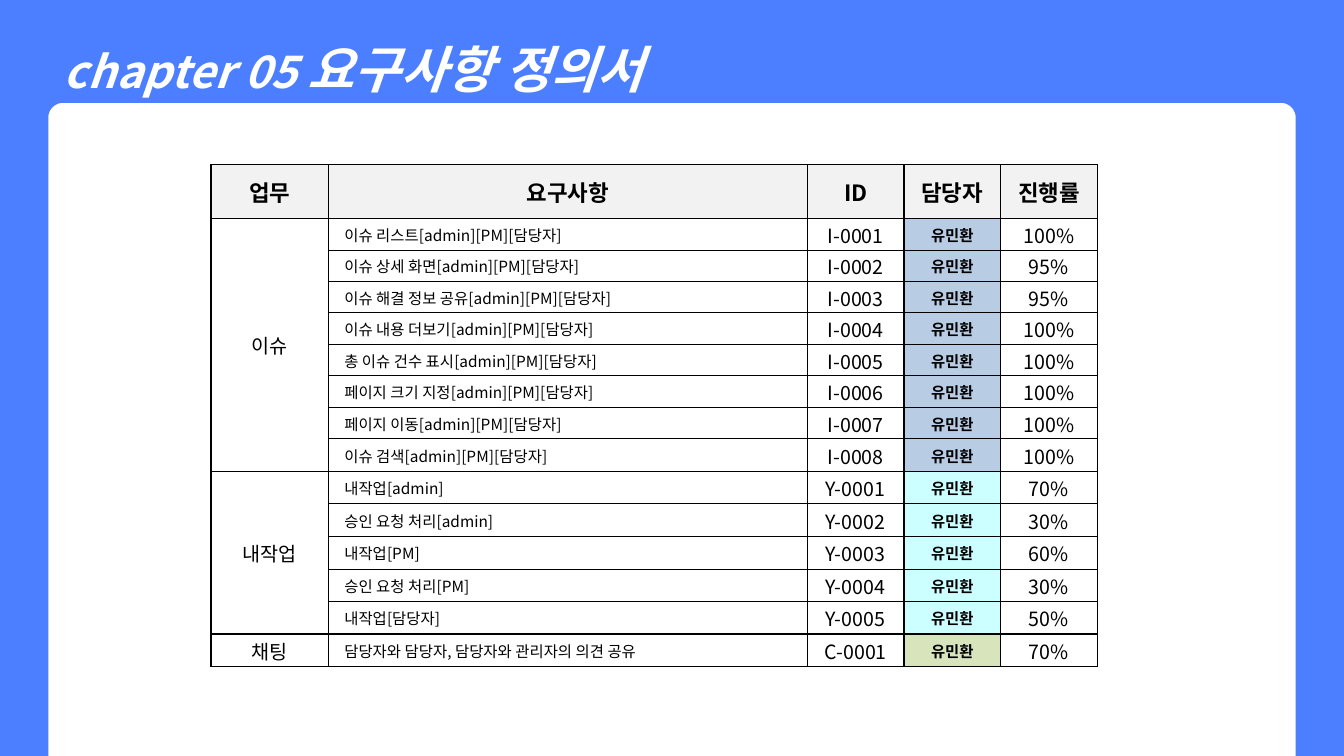
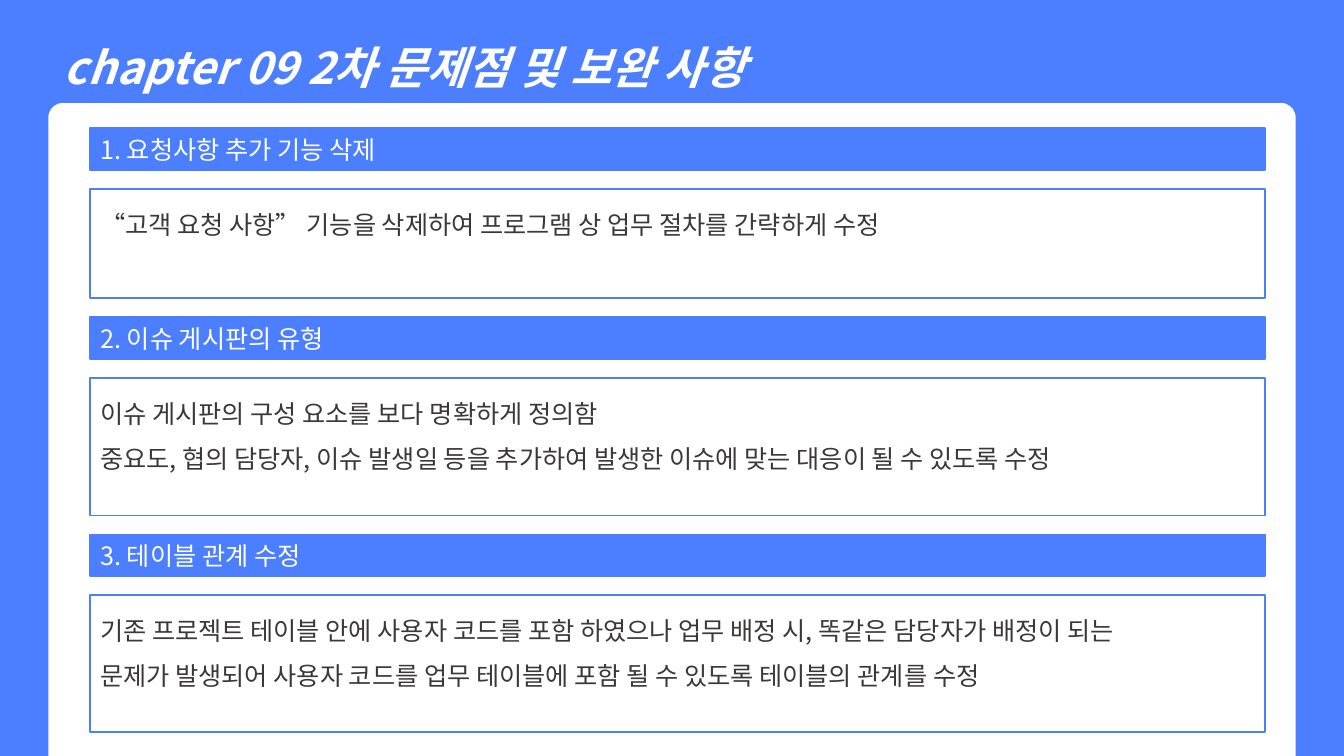
from math import cos, pi, sin

from lxml.etree import SubElement
from pptx import Presentation
from pptx.dml.color import RGBColor
from pptx.enum.shapes import MSO_SHAPE as SHAPE
from pptx.enum.text import MSO_ANCHOR as ANCHOR, PP_ALIGN as ALIGN
from pptx.oxml.ns import qn
from pptx.util import Pt

PX = 9525
FONT = "Noto Sans CJK KR"
BLUE = RGBColor(0x4B, 0x7F, 0xFF)
WHITE = RGBColor(0xFF, 0xFF, 0xFF)
BLACK = RGBColor(0x00, 0x00, 0x00)
DARK = RGBColor(0x3B, 0x38, 0x38)
HEADER_GRAY = RGBColor(0xF2, 0xF2, 0xF2)
ISSUE_BLUE = RGBColor(0xB8, 0xCC, 0xE4)
WORK_CYAN = RGBColor(0xCC, 0xFF, 0xFF)
CHAT_GREEN = RGBColor(0xD7, 0xE4, 0xBC)

WIDTH, HEIGHT = 1280, 720
PANEL_LEFT, PANEL_TOP, PANEL_RIGHT, PANEL_RADIUS = 46, 98, 1234, 14
COLUMNS = [112, 456, 92, 92, 92]
HEADERS = ["업무", "요구사항", "ID", "담당자", "진행률"]
HEADER_HEIGHT = 51
OWNER = "유민환"
ROLES = "[admin][PM][담당자]"
TASK_GROUPS = [
    ("이슈", "I", ISSUE_BLUE, [
        ("이슈 리스트" + ROLES, "100%"),
        ("이슈 상세 화면" + ROLES, "95%"),
        ("이슈 해결 정보 공유" + ROLES, "95%"),
        ("이슈 내용 더보기" + ROLES, "100%"),
        ("총 이슈 건수 표시" + ROLES, "100%"),
        ("페이지 크기 지정" + ROLES, "100%"),
        ("페이지 이동" + ROLES, "100%"),
        ("이슈 검색" + ROLES, "100%"),
    ]),
    ("내작업", "Y", WORK_CYAN, [
        ("내작업[admin]", "70%"),
        ("승인 요청 처리[admin]", "30%"),
        ("내작업[PM]", "60%"),
        ("승인 요청 처리[PM]", "30%"),
        ("내작업[담당자]", "50%"),
    ]),
    ("채팅", "C", CHAT_GREEN, [
        ("담당자와 담당자, 담당자와 관리자의 의견 공유", "70%"),
    ]),
]

SECTION_TOP, SECTION_LEFT, SECTION_WIDTH = 122, 86, 1119
BAR_HEIGHT, SECTION_GAP, HANGING = 40, 18, 36
SECTIONS = [
    ("1. 요청사항 추가 기능 삭제", 104, [
        "“고객 요청 사항” 기능을 삭제하여 프로그램 상 업무 절차를 간략하게 수정",
    ]),
    ("2. 이슈 게시판의 유형", 131, [
        "이슈 게시판의 구성 요소를 보다 명확하게 정의함",
        "중요도, 협의 담당자, 이슈 발생일 등을 추가하여 발생한 이슈에 맞는 대응이 될 수 있도록 수정",
    ]),
    ("3. 테이블 관계 수정", 130, [
        "기존 프로젝트 테이블 안에 사용자 코드를 포함 하였으나 업무 배정 시, 똑같은 담당자가 배정이 되는",
        "문제가 발생되어 사용자 코드를 업무 테이블에 포함 될 수 있도록 테이블의 관계를 수정",
    ]),
]


def px(*values):
    """Turn px lengths into EMU."""
    return [round(v * PX) for v in values]


def style_run(r, size, color, bold=False, italic=False):
    """Set the font of a run for Latin and Korean text."""
    f = r.font
    f.size, f.bold, f.italic, f.name = Pt(size), bold, italic, FONT
    f.color.rgb = color
    SubElement(r._r.get_or_add_rPr(), qn("a:ea"), typeface=FONT)


def corner(cx, cy, start):
    """Return the points of a quarter turn clockwise from an angle in degrees."""
    steps = 12
    angles = [(start + 90 * i / steps) * pi / 180 for i in range(steps + 1)]
    return [px(cx + PANEL_RADIUS * cos(a), cy + PANEL_RADIUS * sin(a))
            for a in angles]


def add_frame(slide):
    """Draw the blue frame around the white panel."""
    cy = PANEL_TOP + PANEL_RADIUS
    opening = (corner(PANEL_LEFT + PANEL_RADIUS, cy, 180)
               + corner(PANEL_RIGHT - PANEL_RADIUS, cy, 270))
    points = [px(WIDTH, 0), px(WIDTH, HEIGHT), px(PANEL_RIGHT, HEIGHT),
              *reversed(opening), px(PANEL_LEFT, HEIGHT), px(0, HEIGHT)]
    builder = slide.shapes.build_freeform(0, 0)
    builder.add_line_segments(points, close=True)
    s = builder.convert_to_shape()
    s.shadow.inherit = False
    s.fill.solid()
    s.fill.fore_color.rgb = BLUE
    s.line.fill.background()


def add_title(slide, parts):
    """Write the slide title from pairs of text and size."""
    s = slide.shapes.add_shape(SHAPE.ROUND_2_SAME_RECTANGLE,
                               *px(48, 7, 1184, 84))
    s.adjustments[0], s.adjustments[1] = 0.137, 0
    s.shadow.inherit = False
    s.fill.background()
    s.line.fill.background()
    tf = s.text_frame
    tf.word_wrap, tf.vertical_anchor = True, ANCHOR.MIDDLE
    p = tf.paragraphs[0]
    p.alignment, p.line_spacing = ALIGN.LEFT, 1.5
    for text, size in parts:
        r = p.add_run()
        r.text = text
        style_run(r, size, WHITE, bold=True, italic=True)


def add_slide(prs, title):
    """Add a blank slide with the frame and a title."""
    slide = prs.slides.add_slide(prs.slide_layouts[6])
    add_frame(slide)
    add_title(slide, title)
    return slide


def set_borders(cell, top, bottom):
    """Draw black cell borders, one point wide at the sides."""
    tc_pr = cell._tc.get_or_add_tcPr()
    for tag, width in (("lnL", 1), ("lnR", 1), ("lnT", top), ("lnB", bottom)):
        ln = SubElement(tc_pr, qn("a:" + tag), w=str(Pt(width)))
        fill = SubElement(ln, qn("a:solidFill"))
        SubElement(fill, qn("a:srgbClr"), val=str(BLACK))


def fill_cell(cell, text, size, bold=False, fill=None, left=False,
              top=1, bottom=1):
    """Set the text, borders and fill of a table cell."""
    cell.text = text
    cell.vertical_anchor = ANCHOR.MIDDLE
    cell.margin_left, cell.margin_top, cell.margin_right, cell.margin_bottom = \
        px(15 if left else 1, 1, 1, 0)
    p = cell.text_frame.paragraphs[0]
    p.alignment = ALIGN.LEFT if left else ALIGN.CENTER
    for r in p.runs:
        style_run(r, size, BLACK, bold)
    set_borders(cell, top, bottom)
    if fill is None:
        cell.fill.background()
    else:
        cell.fill.solid()
        cell.fill.fore_color.rgb = fill


def fill_group(table, first, group):
    """Fill the rows of one task group and return the next free row."""
    name, prefix, color, tasks = group
    last = first + len(tasks) - 1
    for i, (task, progress) in enumerate(tasks):
        row = first + i
        edges = {"top": 1 if row == first else 0.5,
                 "bottom": 1 if row == last else 0.5}
        fill_cell(table.cell(row, 0), name if row == first else "", 14)
        fill_cell(table.cell(row, 1), task, 11, left=True, **edges)
        fill_cell(table.cell(row, 2), f"{prefix}-{i + 1:04}", 14, **edges)
        fill_cell(table.cell(row, 3), OWNER, 11, True, color, **edges)
        fill_cell(table.cell(row, 4), progress, 14, **edges)
    if last > first:
        table.cell(first, 0).merge(table.cell(last, 0))
    return last + 1


def add_requirements(slide):
    """Add the table of requirements."""
    heights = [HEADER_HEIGHT] + [30] * 7 + [31] * 7
    table = slide.shapes.add_table(
        len(heights), len(COLUMNS),
        *px(201, 157, sum(COLUMNS), sum(heights))).table
    table.first_row = table.horz_banding = False
    for column, width in zip(table.columns, px(*COLUMNS)):
        column.width = width
    for row, height in zip(table.rows, px(*heights)):
        row.height = height
    for i, text in enumerate(HEADERS):
        fill_cell(table.cell(0, i), text, 16, True, HEADER_GRAY)
    row = 1
    for group in TASK_GROUPS:
        row = fill_group(table, row, group)


def add_box(shapes, top, height, lines, fill, color, anchor):
    """Add a full-width box with a blue outline and return it."""
    s = shapes.add_shape(SHAPE.RECTANGLE,
                         *px(SECTION_LEFT, top, SECTION_WIDTH, height))
    s.shadow.inherit = False
    s.fill.solid()
    s.fill.fore_color.rgb = fill
    s.line.color.rgb, s.line.width = BLUE, Pt(1.25)
    tf = s.text_frame
    tf.text = "\n".join(lines)
    tf.word_wrap, tf.vertical_anchor = True, anchor
    for p in tf.paragraphs:
        p.alignment = ALIGN.LEFT
        for r in p.runs:
            style_run(r, 18, color)
    return s


def add_section(slide, top, heading, height, lines):
    """Add a heading bar with its body box and return the next top."""
    shapes = slide.shapes.add_group_shape().shapes
    add_box(shapes, top, BAR_HEIGHT, [heading], BLUE, WHITE, ANCHOR.MIDDLE)
    top += BAR_HEIGHT + SECTION_GAP
    body = add_box(shapes, top, height, lines, WHITE, DARK, ANCHOR.TOP)
    for p in body.text_frame.paragraphs:
        p.line_spacing = 1.5
        p_pr = p._p.get_or_add_pPr()
        p_pr.set("marL", str(HANGING * PX))
        p_pr.set("indent", str(-HANGING * PX))
    return top + height + SECTION_GAP


def main():
    """Build and save the presentation."""
    prs = Presentation()
    prs.slide_width, prs.slide_height = px(WIDTH, HEIGHT)
    add_requirements(add_slide(prs, [("chapter 05 ", 32),
                                     ("요구사항 정의서", 36)]))
    slide = add_slide(prs, [("chapter 09 2차 문제점 및 보완 사항", 32)])
    top = SECTION_TOP
    for section in SECTIONS:
        top = add_section(slide, top, *section)
    prs.save("out.pptx")


if __name__ == "__main__":
    main()
